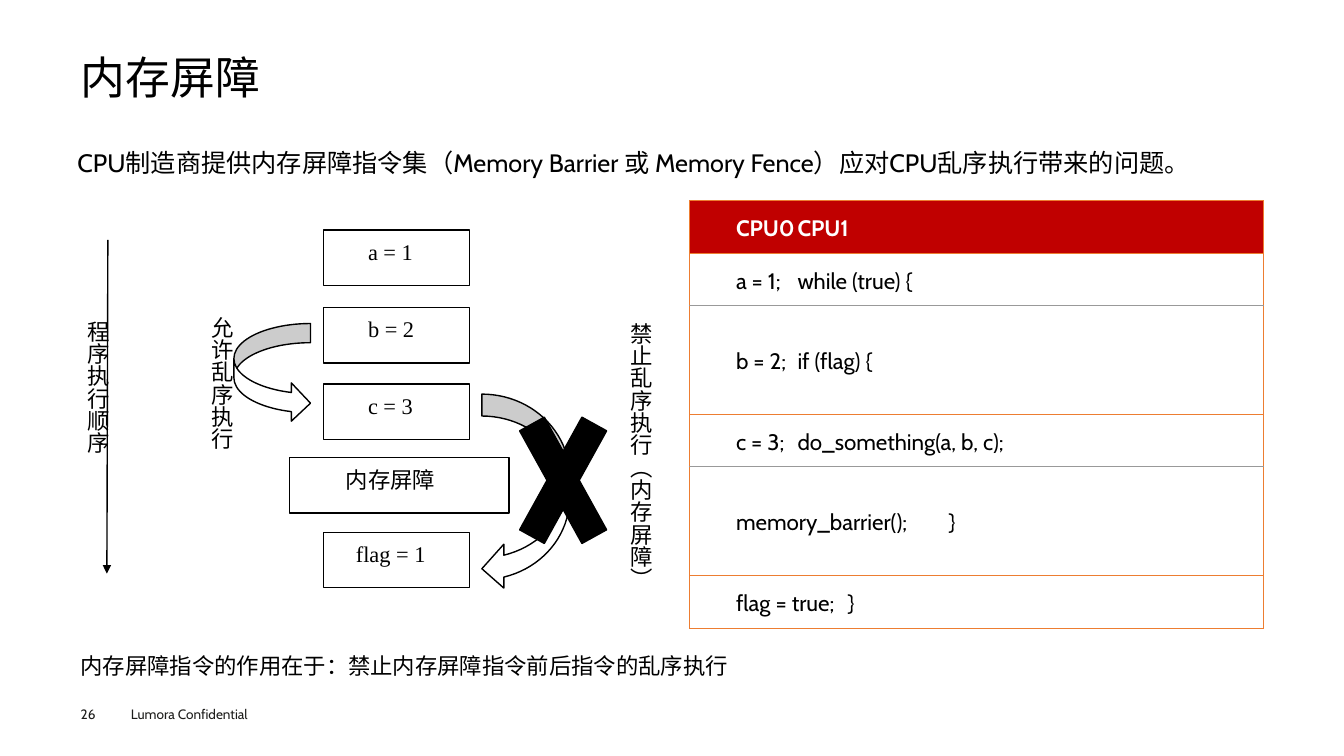
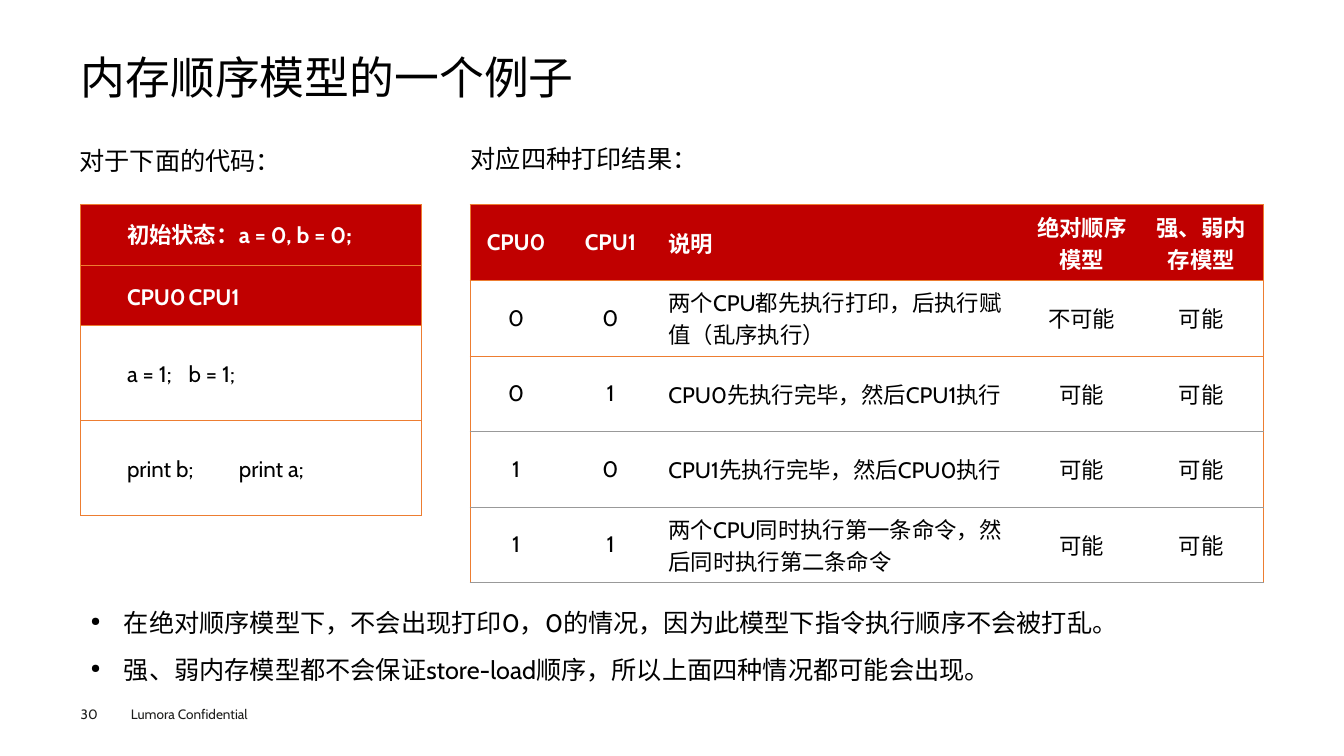
from lxml import etree
from pptx import Presentation
from pptx.dml.color import RGBColor
from pptx.enum import shapes, text
from pptx.oxml import ns
from pptx.util import Inches, Pt

BLACK, WHITE, RED, ORANGE, GREY, FOOTER = "000000", "FFFFFF", "C00000", "ED7D31", "999999", "1D1D1B"
LATIN, SERIF, CHINESE = "Cabin", "Times New Roman", "Noto Sans CJK SC"
PLAIN_TABLE = "{2D5ABB26-0587-4C30-8999-92F81FD0307C}"
CENTER = text.PP_ALIGN.CENTER
MIDDLE = text.MSO_ANCHOR.MIDDLE


def color(value):
    """Turn a hex string into a colour."""
    return RGBColor.from_string(value)


def set_values(target, values):
    """Set each attribute named in a dict."""
    for name, value in values.items():
        setattr(target, name, value)


def add_element(parent, tag, **attributes):
    """Append a drawing element and return it."""
    return etree.SubElement(parent, ns.qn(tag), attributes)


def box_of(left, top, width, height):
    """Convert a box to lengths."""
    return [Inches(value) for value in (left, top, width, height)]


def write(paragraph, content, size, ink=BLACK, font=LATIN, bold=False):
    """Add one formatted run to a paragraph."""
    run = paragraph.add_run()
    run.text = content
    set_values(run.font, {"size": Pt(size), "bold": bold, "name": font})
    run.font.color.rgb = color(ink)
    add_element(run.font._element, "a:ea", typeface=CHINESE)


def set_margins(target, left=0, top=0, right=0, bottom=0):
    """Set the four inner margins of a frame or cell."""
    set_values(target, {"margin_left": Inches(left), "margin_top": Inches(top),
                        "margin_right": Inches(right), "margin_bottom": Inches(bottom)})


def indent(paragraph, first, margin=0):
    """Set the margin and first-line indent of a paragraph."""
    properties = paragraph._p.get_or_add_pPr()
    properties.set("marL", str(Inches(margin)))
    properties.set("indent", str(Inches(first)))
    return properties


def add_text(slide, box, content, size, ink=BLACK, wrap=True):
    """Add a one-paragraph text box."""
    frame = slide.shapes.add_textbox(*box_of(*box)).text_frame
    frame.word_wrap = wrap
    write(frame.paragraphs[0], content, size, ink)
    return frame


def add_vertical_text(slide, box, content, first, font=LATIN):
    """Add a label that reads from top to bottom."""
    frame = slide.shapes.add_textbox(*box_of(*box)).text_frame
    frame.word_wrap = True
    frame._txBody.bodyPr.set("vert", "eaVert")
    write(frame.paragraphs[0], content, 16, font=font)
    indent(frame.paragraphs[0], first)


def add_shape(slide, kind, box, fill=WHITE):
    """Add a black-outlined shape."""
    shape = slide.shapes.add_shape(kind, *box_of(*box))
    shape.shadow.inherit = False
    shape.fill.solid()
    shape.fill.fore_color.rgb = color(fill)
    shape.line.color.rgb = color(BLACK)
    shape.line.width = Pt(1)
    return shape


def add_step(slide, box, content, inset, font=SERIF):
    """Add a framed instruction."""
    frame = add_shape(slide, shapes.MSO_SHAPE.RECTANGLE, box).text_frame
    set_margins(frame, inset, 0.08)
    set_values(frame, {"word_wrap": False, "vertical_anchor": text.MSO_ANCHOR.TOP})
    frame.paragraphs[0].alignment = text.PP_ALIGN.LEFT
    write(frame.paragraphs[0], content, 16, font=font)


def add_arrow(slide, start, end):
    """Add a straight arrow."""
    points = [Inches(value) for value in (*start, *end)]
    arrow = slide.shapes.add_connector(shapes.MSO_CONNECTOR.STRAIGHT, *points)
    arrow.line.color.rgb = color(BLACK)
    arrow.line.width = Pt(1)
    add_element(arrow.line._get_or_add_ln(), "a:tailEnd", type="triangle")
    add_element(arrow._element.spPr, "a:effectLst")


def add_titled_slide(presentation, title, number):
    """Add a slide with the shared title and footer."""
    slide = presentation.slides.add_slide(presentation.slide_layouts[5])
    heading = slide.shapes.title
    set_values(heading, dict(zip(("left", "top", "width", "height"), box_of(0.8, 0.49, 11.73, 0.54))))
    frame = heading.text_frame
    set_margins(frame)
    set_values(frame, {"vertical_anchor": text.MSO_ANCHOR.BOTTOM, "auto_size": text.MSO_AUTO_SIZE.NONE})
    set_values(frame.paragraphs[0], {"alignment": text.PP_ALIGN.LEFT, "line_spacing": 0.9})
    write(frame.paragraphs[0], title, 32)
    add_text(slide, (1.2, 6.95, 1.6, 0.27), "Lumora Confidential", 9.7, FOOTER, wrap=False)
    set_margins(add_text(slide, (0.8, 7, 0.55, 0.16), number, 9.7, FOOTER))
    return slide


def add_borders(cell, **edges):
    """Draw the given cell edges, in the order L, R, T, B."""
    properties = cell._tc.get_or_add_tcPr()
    present = [(side, edges[side]) for side in "LRTB" if side in edges]
    for position, (side, ink) in enumerate(present):
        line = etree.Element(ns.qn("a:ln" + side), w=str(Pt(0.5)))
        add_element(add_element(line, "a:solidFill"), "a:srgbClr", val=ink)
        properties.insert(position, line)


def add_ruled_table(slide, left, top, widths, heights, headers, rules):
    """Add an empty table with red header rows and a rule below each row."""
    box = box_of(left, top, sum(widths), sum(heights))
    table = slide.shapes.add_table(len(heights), len(widths), *box).table
    set_values(table, {"first_row": False, "horz_banding": False})
    table._tbl.tblPr.find(ns.qn("a:tableStyleId")).text = PLAIN_TABLE
    for column, width in zip(table.columns, widths):
        column.width = Inches(width)
    for index, height in enumerate(heights):
        table.rows[index].height = Inches(height)
        for place, cell in enumerate(table.rows[index].cells):
            cell.vertical_anchor = MIDDLE
            cell.fill.solid()
            cell.fill.fore_color.rgb = color(RED if index < headers else WHITE)
            edges = {"T": rules[index - 1] if index else ORANGE, "B": rules[index]}
            if place == 0:
                edges["L"] = ORANGE
            if place == len(widths) - 1:
                edges["R"] = ORANGE
            add_borders(cell, **edges)
    return table


def add_code_table(slide, left, top, width, heights, lines, headers, rules):
    """Fill a one-column table with code of two processors, split by a tab stop."""
    table = add_ruled_table(slide, left, top, [width], heights, headers, rules)
    for index, (content, stop) in enumerate(lines):
        cell = table.cell(index, 0)
        set_margins(cell, left=0.07, right=0.07)
        paragraph = cell.text_frame.paragraphs[0]
        paragraph.line_spacing = Pt(22)
        properties = indent(paragraph, 0.39)
        if stop:
            add_element(add_element(properties, "a:tabLst"), "a:tab", pos=str(Inches(stop)), algn="l")
        header = index < headers
        write(paragraph, content, 16, WHITE if header else BLACK, bold=header)


def add_result_table(slide, left, top):
    """Add the table of the four print results."""
    rows = [
        ("CPU0", "CPU1", "说明", "绝对顺序模型", "强、弱内存模型"),
        ("0", "0", "两个CPU都先执行打印，后执行赋值（乱序执行）", "不可能", "可能"),
        ("0", "1", "CPU0先执行完毕，然后CPU1执行", "可能", "可能"),
        ("1", "0", "CPU1先执行完毕，然后CPU0执行", "可能", "可能"),
        ("1", "1", "两个CPU同时执行第一条命令，然后同时执行第二条命令", "可能", "可能"),
    ]
    widths = [0.92, 0.95, 3.63, 1.14, 1.23]
    rules = [ORANGE, ORANGE, GREY, GREY, GREY]
    table = add_ruled_table(slide, left, top, widths, [0.75] * len(rows), 1, rules)
    for index, row in enumerate(rows):
        for place, content in enumerate(row):
            paragraph = table.cell(index, place).text_frame.paragraphs[0]
            paragraph.alignment = text.PP_ALIGN.LEFT if place == 2 else CENTER
            write(paragraph, content, 16, BLACK if index else WHITE, bold=index == 0)


def add_bullets(slide, box, lines):
    """Add a bulleted list."""
    frame = slide.shapes.add_textbox(*box_of(*box)).text_frame
    frame.word_wrap = True
    for index, content in enumerate(lines):
        paragraph = frame.add_paragraph() if index else frame.paragraphs[0]
        if index:
            paragraph.space_before = Pt(12)
        properties = indent(paragraph, -0.33, 0.33)
        add_element(properties, "a:buSzPct", val="50000")
        add_element(properties, "a:buChar", char="●")
        write(paragraph, content, 18)


def draw_order_diagram(slide, left, top):
    """Draw the instruction order and the reordering that the barrier forbids."""
    def place(x, y, width, height):
        return left + x, top + y, width, height

    add_vertical_text(slide, place(-0.61, 0.51, 0.96, 2.73), "程序执行顺序", 0.29)
    add_vertical_text(slide, place(0.82, 0.37, 0.76, 1.99), "允许乱序执行", 0.39, SERIF)
    add_vertical_text(slide, place(4.66, 0.53, 1.08, 3.44), "禁止乱序执行（内存屏障）", 0.29)
    steps = [("a = 1", 0, 0.44), ("b = 2", 0.77, 0.44), ("c = 3", 1.53, 0.44), ("flag = 1", 3, 0.32)]
    for content, y, inset in steps:
        add_step(slide, place(2.41, y, 1.45, 0.55), content, inset)
    add_step(slide, place(2.07, 2.26, 2.18, 0.55), "内存屏障", 0.56, LATIN)
    curve = shapes.MSO_SHAPE.CURVED_RIGHT_ARROW
    add_shape(slide, curve, place(1.52, 0.93, 0.76, 0.98))
    forbidden = add_shape(slide, curve, place(3.98, 1.63, 0.87, 1.95))
    forbidden._element.spPr.xfrm.set("flipH", "1")
    add_shape(slide, shapes.MSO_SHAPE.MATH_MULTIPLY, place(4.19, 1.41, 1.19, 2.15), BLACK)
    add_arrow(slide, (left + 0.27, top + 0.1), (left + 0.26, top + 3.41))


def build_barrier_slide(presentation):
    """Build the slide on memory barriers."""
    slide = add_titled_slide(presentation, "内存屏障", "26")
    add_text(slide, (0.67, 1.41, 12.1, 0.46),
             "CPU制造商提供内存屏障指令集（Memory Barrier 或 Memory Fence）应对CPU乱序执行带来的问题。", 18)
    add_text(slide, (0.7, 6.42, 6.72, 0.42), "内存屏障指令的作用在于：禁止内存屏障指令前后指令的乱序执行", 16)
    draw_order_diagram(slide, 0.8, 2.28)
    lines = [("CPU0\tCPU1", 2.17), ("a = 1;\twhile (true) {", 2.03), ("b = 2;\tif (flag) {", 2.29),
             ("c = 3;\tdo_something(a, b, c);", 2.47), ("memory_barrier();\t}", 2.53),
             ("flag = true;\t}", 2.17)]
    add_code_table(slide, 6.84, 1.99, 5.69, [0.52, 0.52, 1.08, 0.52, 1.08, 0.52], lines, 1,
                   [ORANGE, GREY, ORANGE, GREY, ORANGE, ORANGE])


def build_example_slide(presentation):
    """Build the slide with an example of memory order models."""
    slide = add_titled_slide(presentation, "内存顺序模型的一个例子", "30")
    add_text(slide, (0.69, 1.39, 2.6, 0.46), "对于下面的代码：", 18)
    add_text(slide, (4.57, 1.37, 3.87, 0.46), "对应四种打印结果：", 18)
    lines = [("初始状态：a = 0, b = 0;", None), ("CPU0\tCPU1", 1.78),
             ("a = 1;\tb = 1;", 1.64), ("print b;\tprint a;", 1.76)]
    add_code_table(slide, 0.8, 2.03, 3.38, [0.6, 0.6, 0.94, 0.94], lines, 2, [ORANGE] * 4)
    add_result_table(slide, 4.66, 2.03)
    add_bullets(slide, (0.8, 5.98, 11.64, 1), [
        "在绝对顺序模型下，不会出现打印0，0的情况，因为此模型下指令执行顺序不会被打乱。",
        "强、弱内存模型都不会保证store-load顺序，所以上面四种情况都可能会出现。"])


def main():
    """Build and save the presentation."""
    presentation = Presentation()
    set_values(presentation, {"slide_width": Inches(13.33), "slide_height": Inches(7.5)})
    build_barrier_slide(presentation)
    build_example_slide(presentation)
    presentation.save("out.pptx")


if __name__ == "__main__":
    main()
